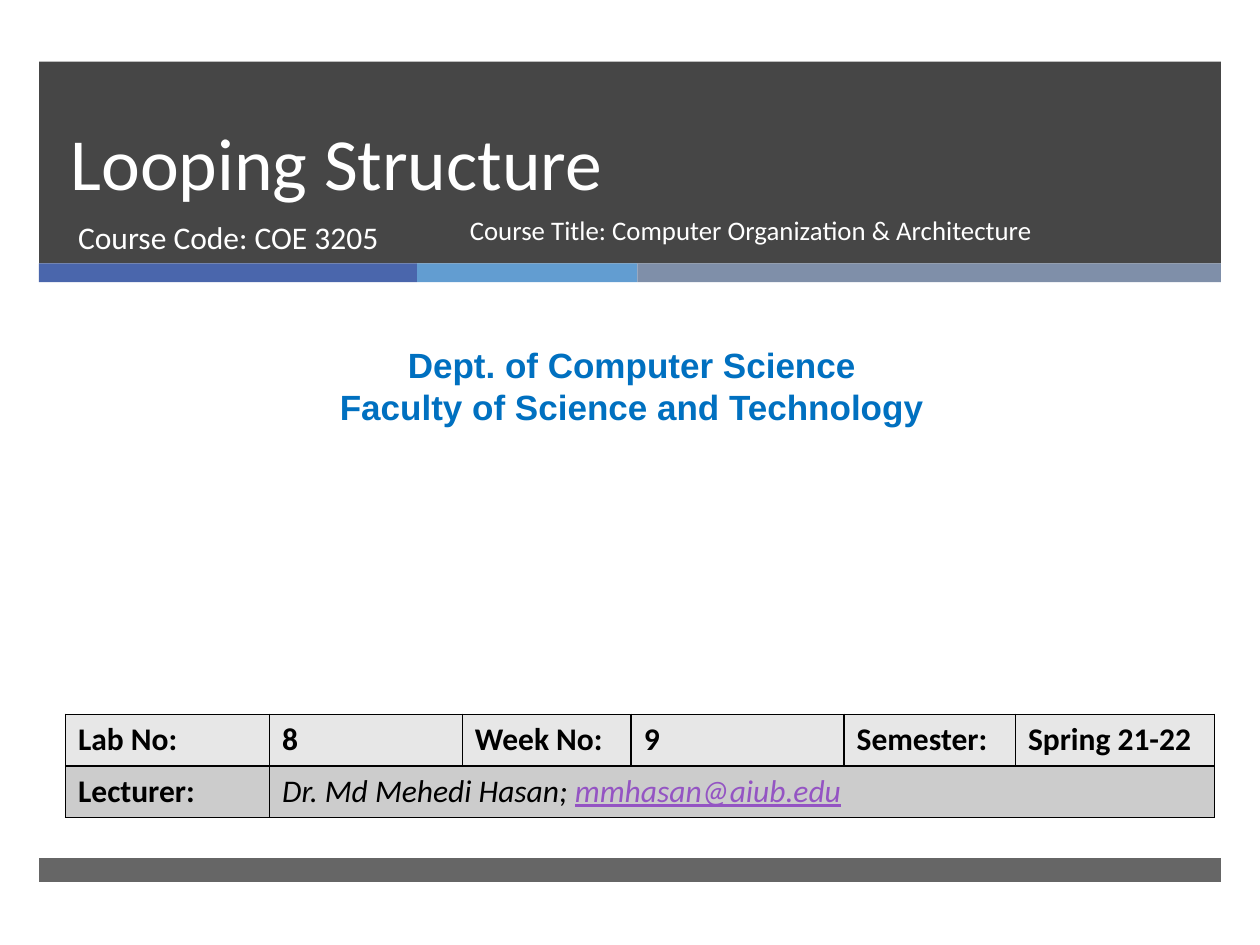
import pptx
import pptx.util
import pptx.dml.color
import pptx.enum.shapes
import pptx.enum.text
import pptx.oxml
import pptx.oxml.ns
from dataclasses import dataclass
from lxml import etree

Inches = pptx.util.Inches
Pt = pptx.util.Pt
Align = pptx.enum.text.PP_ALIGN
Anchor = pptx.enum.text.MSO_ANCHOR
qn = pptx.oxml.ns.qn


@dataclass(frozen=True)
class Theme:
    dark: str = "262626"
    white: str = "FFFFFF"
    black: str = "000000"
    blue: str = "0070C0"
    link: str = "9454C3"
    bars: tuple = ("4A66AC", "629DD1", "7F8FA9")
    rows: tuple = ("E7E7E7", "CCCCCC")
    font: str = "Calibri"
    sans: str = "Arial"
    title: float = 42
    dept: float = 20
    body: float = 18
    small: float = 15.3


def color(code):
    return pptx.dml.color.RGBColor.from_string(code)


class Deck:
    def __init__(self, theme):
        self.theme = theme
        self.file = pptx.Presentation()
        self.file.slide_width = Inches(10)
        self.file.slide_height = Inches(7.5)
        self.slide = self.file.slides.add_slide(self.file.slide_layouts[0])

    def style(self, run, size, code, name=None, bold=False, italic=False, under=False):
        font = run.font
        font.name = name or self.theme.font
        font.size = Pt(size)
        font.color.rgb = color(code)
        font.bold, font.italic, font.underline = bold, italic, under

    def bar(self, left, top, width, height, code, alpha=None):
        kind = pptx.enum.shapes.MSO_SHAPE.RECTANGLE
        shape = self.slide.shapes.add_shape(
            kind, Inches(left), Inches(top), Inches(width), Inches(height))
        shape.shadow.inherit = False
        shape.line.fill.background()
        shape.fill.solid()
        shape.fill.fore_color.rgb = color(code)
        if alpha:
            tone = shape._element.spPr.find(".//" + qn("a:srgbClr"))
            etree.SubElement(tone, qn("a:alpha"), val=str(alpha * 1000))

    def put(self, shape, text, size, code, name=None, bold=False,
            align=Align.LEFT, anchor=Anchor.TOP, space=None):
        frame = shape.text_frame
        frame.text = text
        frame.word_wrap = True
        frame.auto_size = pptx.enum.text.MSO_AUTO_SIZE.NONE
        frame.vertical_anchor = anchor
        for para in frame.paragraphs:
            para.alignment = align
            para.space_before = Pt(0)
            if space:
                para.line_spacing = space
            for run in para.runs:
                self.style(run, size, code, name, bold)

    def holder(self, index, left, top, width, height, text, size, **look):
        shape = self.slide.placeholders[index]
        shape.left, shape.top = Inches(left), Inches(top)
        shape.width, shape.height = Inches(width), Inches(height)
        node = shape._element
        node.getparent().append(node)
        self.put(shape, text, size, self.theme.white, **look)

    def label(self, left, top, width, height, text, size, code, **look):
        shape = self.slide.shapes.add_textbox(
            Inches(left), Inches(top), Inches(width), Inches(height))
        self.put(shape, text, size, code, **look)

    def border(self, cell):
        props = cell._tc.get_or_add_tcPr()
        for side in ("lnL", "lnR", "lnT", "lnB"):
            line = etree.SubElement(props, qn("a:" + side), w=str(Pt(1)))
            fill = etree.SubElement(line, qn("a:solidFill"))
            etree.SubElement(fill, qn("a:srgbClr"), val=self.theme.black)

    def table(self, left, top, widths, height, data):
        grid = self.slide.shapes.add_table(
            len(data), len(widths), Inches(left), Inches(top),
            Inches(sum(widths)), Inches(height * len(data))).table
        for col, width in zip(grid.columns, widths):
            col.width = Inches(width)
        for r, (row, shade) in enumerate(zip(data, self.theme.rows)):
            grid.rows[r].height = Inches(height)
            for c in range(len(widths)):
                cell = grid.cell(r, c)
                self.border(cell)
                cell.fill.solid()
                cell.fill.fore_color.rgb = color(shade)
                if c < len(row):
                    cell.text = row[c]
                    for run in cell.text_frame.paragraphs[0].runs:
                        self.style(run, self.theme.body, self.theme.black, bold=True)
            if len(row) < len(widths):
                grid.cell(r, len(row) - 1).merge(grid.cell(r, len(widths) - 1))
        return grid


def main():
    theme = Theme()
    deck = Deck(theme)

    left, wide = 0.31, 9.38
    deck.bar(left, 0.49, wide, 1.6, theme.dark, 85)
    edge = left
    for width, code in zip((3, 1.75, 4.63), theme.bars):
        deck.bar(edge, 2.09, width, 0.15, code)
        edge += width
    deck.bar(left, 6.81, wide, 0.19, theme.dark, 70)

    deck.holder(0, 0.46, 0.49, 8.54, 1.19, "Looping Structure", theme.title,
                anchor=Anchor.BOTTOM, space=Pt(46))
    deck.holder(1, 0.52, 1.68, 3.05, 0.53, "Course Code: COE 3205", theme.body)
    deck.label(0.08, 2.68, 9.87, 0.77,
               "Dept. of Computer Science\nFaculty of Science and Technology",
               theme.dept, theme.blue, name=theme.sans, bold=True, align=Align.CENTER)

    grid = deck.table(0.52, 5.67, (1.62, 1.53, 1.34, 1.69, 1.36, 1.58), 0.41, [
        ("Lab No:", "8", "Week No:", "9", "Semester:", "Spring 21-22"),
        ("Lecturer:", "Dr. Md Mehedi Hasan; "),
    ])
    para = grid.cell(1, 1).text_frame.paragraphs[0]
    deck.style(para.runs[0], theme.body, theme.black, italic=True)
    mail = para.add_run()
    mail.text = "mmhasan@aiub.edu"
    deck.style(mail, theme.body, theme.link, italic=True, under=True)

    deck.label(3.63, 1.68, 4.69, 0.53,
               "Course Title: Computer Organization & Architecture",
               theme.small, theme.white, space=0.9)
    deck.file.save("out.pptx")


if __name__ == "__main__":
    main()
